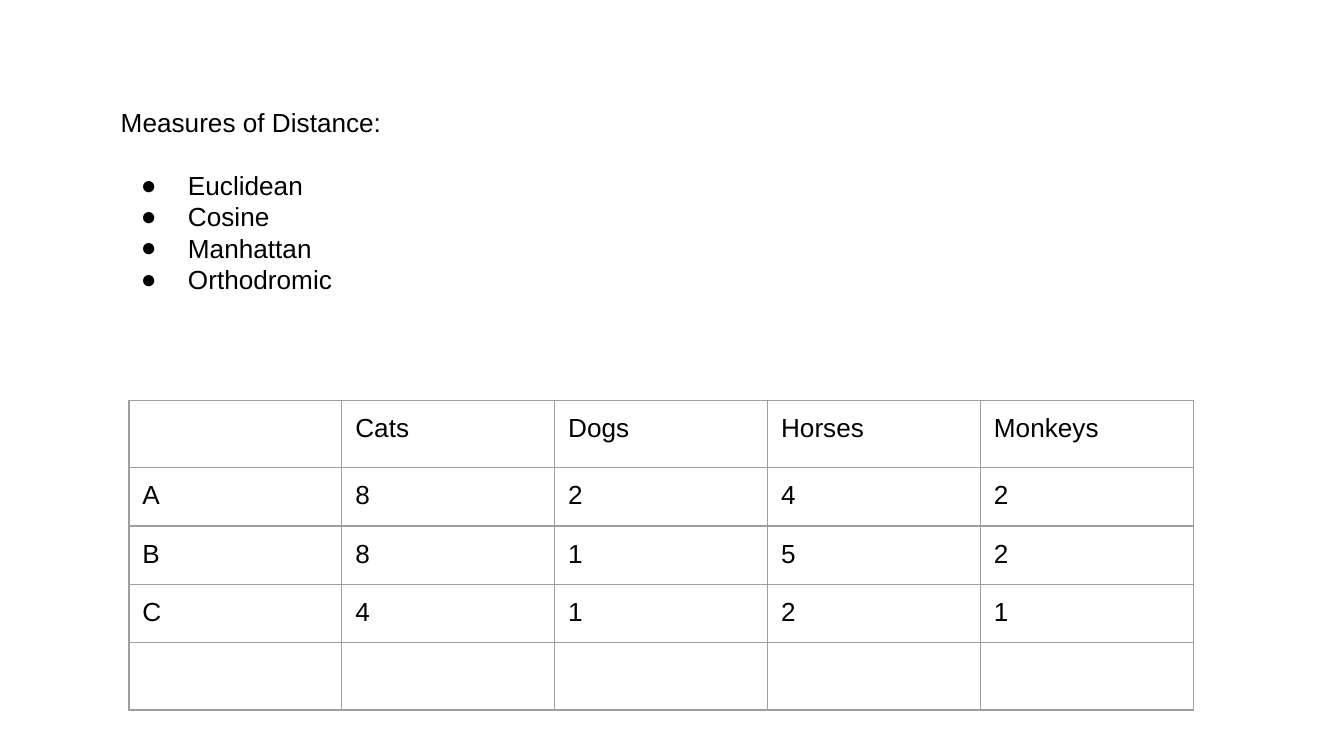
from lxml import etree
from pptx import Presentation
from pptx.dml.color import RGBColor
from pptx.oxml.ns import qn
from pptx.util import Inches, Pt

FONT = "Arial"
BLACK = "000000"
GREY = "9E9E9E"
INSET = 0.1
BLANK_LAYOUT = 6
SLIDE_WIDTH = 10

MEASURES = ["Euclidean", "Cosine", "Manhattan", "Orthodromic"]
COUNTS = [
    ["", "Cats", "Dogs", "Horses", "Monkeys"],
    ["A", "8", "2", "4", "2"],
    ["B", "8", "1", "5", "2"],
    ["C", "4", "1", "2", "1"],
    ["", "", "", "", ""],
]


def rgb(color):
    return RGBColor.from_string(color)


def set_margins(target, top=INSET):
    target.margin_left = target.margin_right = target.margin_bottom = Inches(INSET)
    target.margin_top = Inches(top)


def write(p, text, size=14, color=BLACK, font=FONT, after=0, bullet=None):
    p.space_after = Pt(after)
    if bullet:
        pPr = p._p.get_or_add_pPr()
        pPr.set("marL", str(Inches(0.5)))
        pPr.set("indent", str(Inches(-0.35)))
        clr = etree.SubElement(pPr, qn("a:buClr"))
        etree.SubElement(clr, qn("a:srgbClr"), val=color)
        etree.SubElement(pPr, qn("a:buFont"), typeface=font)
        etree.SubElement(pPr, qn("a:buChar"), char=bullet)
    r = p.add_run()
    r.text = text
    r.font.size = Pt(size)
    r.font.name = font
    r.font.color.rgb = rgb(color)


def set_borders(cell, color=GREY, width=0.75):
    tcPr = cell._tc.get_or_add_tcPr()
    for side in ("lnL", "lnR", "lnT", "lnB"):
        ln = etree.SubElement(tcPr, qn(f"a:{side}"), w=str(Pt(width)))
        fill = etree.SubElement(ln, qn("a:solidFill"))
        etree.SubElement(fill, qn("a:srgbClr"), val=color)


def add_measures(s, left, top, width, height):
    sp = s.shapes.add_textbox(Inches(left), Inches(top), Inches(width), Inches(height))
    tf = sp.text_frame
    tf.word_wrap = True
    set_margins(tf, top=0.33)
    write(tf.paragraphs[0], "Measures of Distance:", after=17)
    for measure in MEASURES:
        write(tf.add_paragraph(), measure, bullet="●")


def add_counts(s, left, top, width, row_height):
    rows, columns = len(COUNTS), len(COUNTS[0])
    frame = s.shapes.add_table(
        rows, columns, Inches(left), Inches(top),
        Inches(width), Inches(row_height * rows))
    table = frame.table
    table.first_row = table.horz_banding = False
    for column in table.columns:
        column.width = Inches(width / columns)
    for row, texts in zip(table.rows, COUNTS):
        row.height = Inches(row_height)
        for cell, text in zip(row.cells, texts):
            set_margins(cell)
            set_borders(cell)
            cell.fill.background()
            if text:
                write(cell.text_frame.paragraphs[0], text)


def main():
    prs = Presentation()
    prs.slide_width = Inches(SLIDE_WIDTH)
    prs.slide_height = Inches(SLIDE_WIDTH * 9 / 16)
    s = prs.slides.add_slide(prs.slide_layouts[BLANK_LAYOUT])
    add_measures(s, 0.8, 0.46, 8.58, 4.29)
    add_counts(s, 0.96, 2.98, 7.92, 0.42)
    prs.save("out.pptx")


if __name__ == "__main__":
    main()
